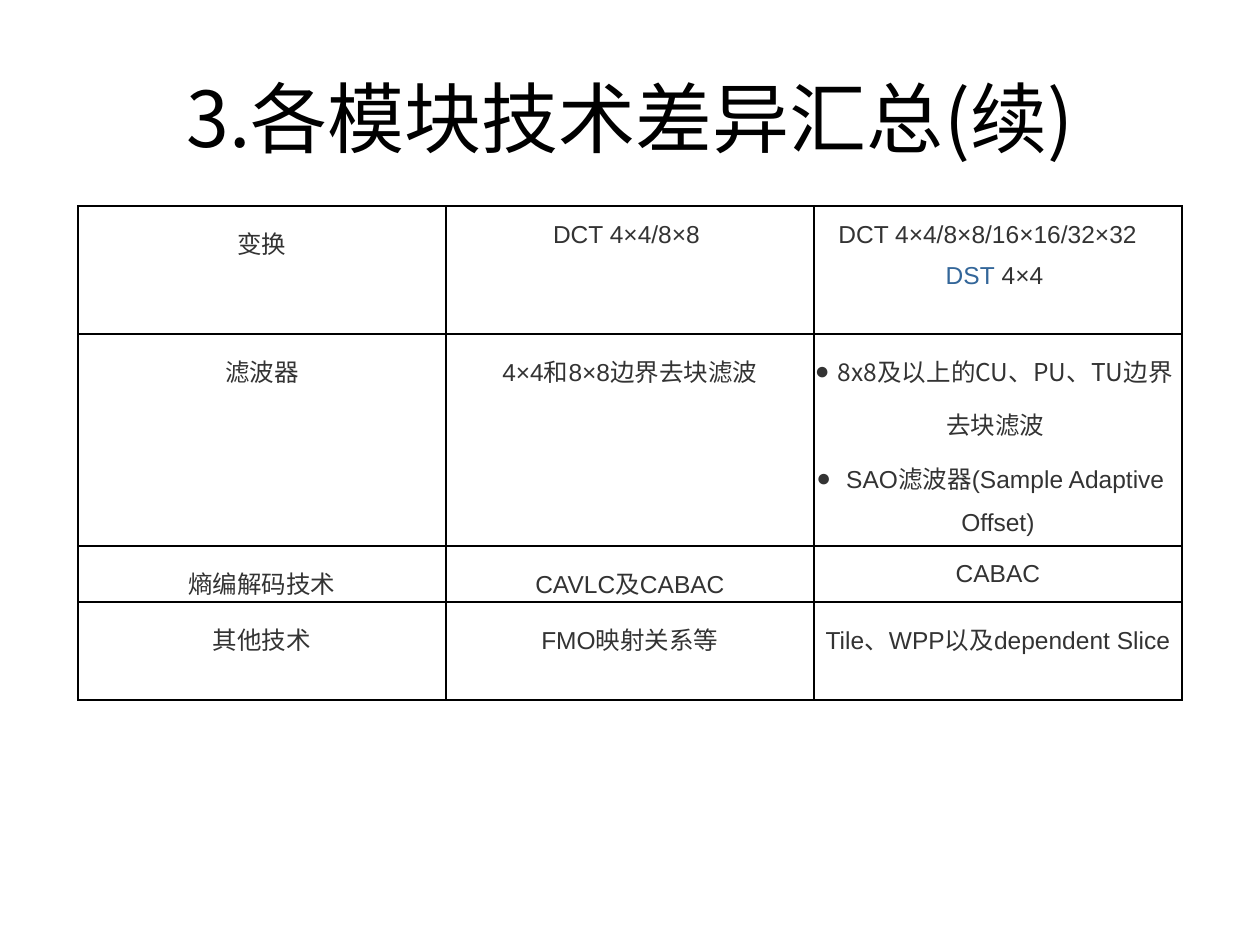
import pptx
import pptx.util
import pptx.dml.color
import pptx.enum.text
import pptx.oxml
import pptx.oxml.ns

SCALE = 914400 // 126
HEX = {"black": "000000", "text": "333333", "link": "336699"}
CJK = "Noto Sans CJK SC"
HEAD = {"size": 44, "name": CJK, "color": "black"}
BODY = {"size": 14, "name": "Arial", "color": "text"}
LINK = {**BODY, "color": "link"}
WIDE = {**BODY, "name": CJK}
BULLET = "●"

# A cell is a list of paragraphs, a paragraph a list of (text, format) runs.
ROWS = [
    [[[("变换", BODY)]],
     [[("DCT 4×4/8×8 ", BODY)]],
     [[("DCT 4×4/8×8/16×16/32×32   ", BODY)],
      [("DST", LINK), (" 4×4 ", BODY)]]],
    [[[("滤波器", BODY)]],
     [[("4×4和8×8边界去块滤波", BODY)]],
     [[(BULLET, None), ("8x8及以上的CU、PU、TU边界去块滤波 ", WIDE)],
      [(BULLET, None), ("SAO滤波器(Sample Adaptive Offset)", BODY)]]],
    [[[("熵编解码技术", BODY)]],
     [[("CAVLC及CABAC", BODY)]],
     [[("CABAC", BODY)]]],
    [[[("其他技术", BODY)]],
     [[("FMO映射关系等", BODY)]],
     [[("Tile、WPP以及dependent Slice", BODY)]]],
]


def px(num):
    return pptx.util.Emu(num * SCALE)


def node(tag, **attrs):
    item = pptx.oxml.parse_xml(f"<{tag} {pptx.oxml.ns.nsdecls('a')}/>")
    for key, value in attrs.items():
        item.set(key, value)
    return item


class Deck:
    def __init__(self, wide, high):
        self.file = pptx.Presentation()
        self.file.slide_width, self.file.slide_height = px(wide), px(high)
        self.slide = self.file.slides.add_slide(self.file.slide_layouts[6])

    def run(self, para, text, form):
        run = para.add_run()
        run.text = text
        values = {"size": pptx.util.Pt(form["size"]), "name": form["name"]}
        for key, value in values.items():
            setattr(run.font, key, value)
        run.font.color.rgb = pptx.dml.color.RGBColor.from_string(HEX[form["color"]])
        latin = run.font._element.find(pptx.oxml.ns.qn("a:latin"))
        latin.addnext(node("a:ea", typeface=CJK))

    def bullet(self, para, char):
        props = para._p.get_or_add_pPr()
        props.append(node("a:buFont", typeface=BODY["name"]))
        props.append(node("a:buChar", char=char))

    def fill(self, frame, paras, space):
        """Write centred paragraphs into a text frame."""
        for num, runs in enumerate(paras):
            para = frame.add_paragraph() if num else frame.paragraphs[0]
            para.alignment = pptx.enum.text.PP_ALIGN.CENTER
            para.line_spacing = space
            for text, form in runs:
                if form:
                    self.run(para, text, form)
                else:
                    self.bullet(para, text)

    def title(self, text, box):
        frame = self.slide.shapes.add_textbox(*map(px, box)).text_frame
        frame.word_wrap = True
        frame.vertical_anchor = pptx.enum.text.MSO_ANCHOR.MIDDLE
        self.fill(frame, [[(text, HEAD)]], 1.0)

    def border(self, cell):
        props = cell._tc.get_or_add_tcPr()
        for num, side in enumerate("LRTB"):
            line = node(f"a:ln{side}", w=str(pptx.util.Pt(1)))
            paint = node("a:solidFill")
            paint.append(node("a:srgbClr", val=HEX["black"]))
            line.append(paint)
            props.insert(num, line)

    def table(self, rows, spot, wide, highs):
        """Draw a plain ruled table with equal columns."""
        count = len(rows[0])
        grid = self.slide.shapes.add_table(
            len(rows), count, *map(px, spot), px(wide * count), px(sum(highs))).table
        for flag in ("first_row", "horz_banding"):
            setattr(grid, flag, False)
        for col in grid.columns:
            col.width = px(wide)
        for row, high, cells in zip(grid.rows, highs, rows):
            row.height = px(high)
            for cell, paras in zip(row.cells, cells):
                for side in ("left", "right", "top", "bottom"):
                    setattr(cell, f"margin_{side}", px(1))
                cell.fill.background()
                self.border(cell)
                self.fill(cell.text_frame, paras, 1.5)


def main():
    deck = Deck(1260, 945)
    deck.title("3.各模块技术差异汇总(续)", (63, 38, 1134, 157))
    deck.table(ROWS, (78, 206), 368, (128, 212, 56, 98))
    deck.file.save("out.pptx")


if __name__ == "__main__":
    main()
